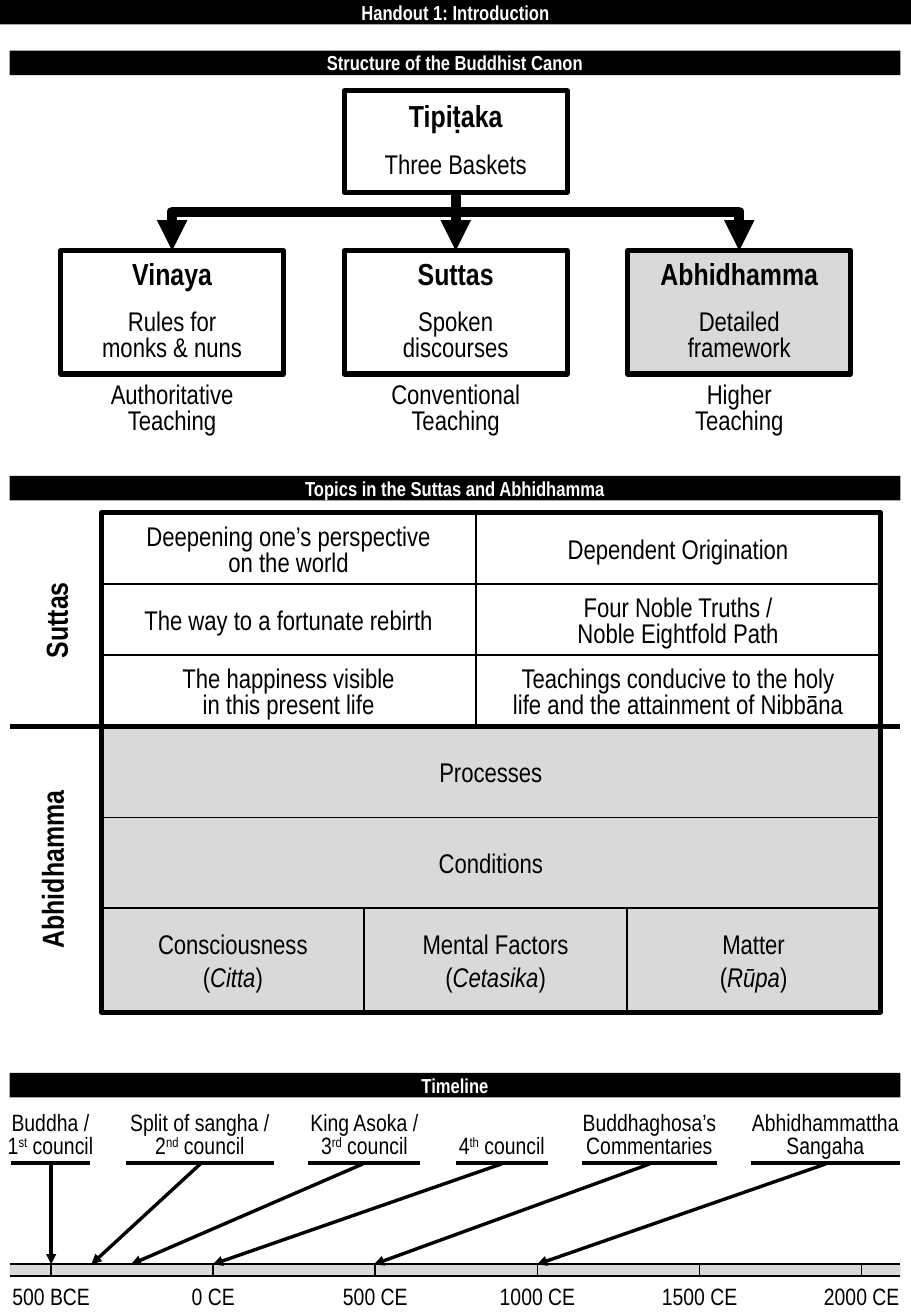
from lxml import etree
from pptx import Presentation
from pptx.dml.color import RGBColor
from pptx.enum.shapes import MSO_CONNECTOR, MSO_SHAPE
from pptx.enum.text import MSO_ANCHOR, MSO_AUTO_SIZE, PP_ALIGN
from pptx.oxml.ns import qn
from pptx.util import Cm, Pt

BLACK = RGBColor(0x00, 0x00, 0x00)
WHITE = RGBColor(0xFF, 0xFF, 0xFF)
GREY = RGBColor(0xD9, 0xD9, 0xD9)
RECTANGLE = MSO_SHAPE.RECTANGLE
STRAIGHT, ELBOW = MSO_CONNECTOR.STRAIGHT, MSO_CONNECTOR.ELBOW
MIDDLE, BOTTOM = MSO_ANCHOR.MIDDLE, MSO_ANCHOR.BOTTOM
CENTER = PP_ALIGN.CENTER
NO_AUTOFIT = MSO_AUTO_SIZE.NONE
FONT = "Arial Narrow"
TITLE_ONLY = 5


def write(para, text, size=16, bold=False, color=BLACK, spacing=1.0, before=0, raised=False):
    """Fill a paragraph; text between asterisks is raised or italic."""
    para.alignment = CENTER
    para.line_spacing = spacing
    para.space_before = Pt(before)
    for index, part in enumerate(text.split("*")):
        for number, line in enumerate(part.split("\n")):
            if number:
                para.add_line_break()
            if not line:
                continue
            span = para.add_run()
            span.text = line
            font = span.font
            font.name, font.size, font.bold = FONT, Pt(size), bold
            font.color.rgb = color
            if index % 2 and raised:
                font._element.set("baseline", "30000")
            elif index % 2:
                font.italic = True


class Handout:
    def __init__(self, slide):
        self.slide = slide

    def frame(self, shape, anchor=MIDDLE, top=0.13, bottom=0.13):
        frame = shape.text_frame
        frame.word_wrap = True
        frame.auto_size = NO_AUTOFIT
        frame.vertical_anchor = anchor
        frame.margin_left = frame.margin_right = 0
        frame.margin_top, frame.margin_bottom = Cm(top), Cm(bottom)
        return frame

    def box(self, left, top, width, height, fill=None, line=0):
        box = self.slide.shapes.add_shape(RECTANGLE, Cm(left), Cm(top), Cm(width), Cm(height))
        box.shadow.inherit = False
        if fill is None:
            box.fill.background()
        else:
            box.fill.solid()
            box.fill.fore_color.rgb = fill
        if line:
            box.line.color.rgb = BLACK
            box.line.width = Pt(line)
        else:
            box.line.fill.background()
        return box

    def text(self, text, left, top, width, height, anchor=MIDDLE, rotation=0, **style):
        box = self.slide.shapes.add_textbox(Cm(left), Cm(top), Cm(width), Cm(height))
        box.rotation = rotation
        write(self.frame(box, anchor).paragraphs[0], text, **style)

    def title(self, text, left, top, width, height):
        title = self.slide.shapes.title
        title.left, title.top, title.width, title.height = Cm(left), Cm(top), Cm(width), Cm(height)
        title.fill.solid()
        title.fill.fore_color.rgb = BLACK
        self.bar_text(title, text)

    def bar(self, text, top):
        self.bar_text(self.box(0.2, top, 18.63, 0.51, BLACK), text)

    def bar_text(self, shape, text):
        frame = self.frame(shape, top=0, bottom=0)
        write(frame.paragraphs[0], text, size=12, bold=True, color=WHITE)

    def basket(self, name, detail, left, top, height, fill=None):
        frame = self.frame(self.box(left, top, BASKET_WIDTH, height, fill, line=3))
        write(frame.paragraphs[0], name, size=18, bold=True, spacing=0.8, before=12)
        write(frame.add_paragraph(), detail, spacing=0.8, before=12)

    def cell(self, text, left, top, width, height, fill=None, spacing=1.0):
        box = self.box(left, top, width, height, fill, line=1)
        frame = self.frame(box, bottom=0 if spacing < 1 else 0.13)
        write(frame.paragraphs[0], text, spacing=spacing)

    def line(self, x1, y1, x2, y2, width, arrow=False, kind=STRAIGHT):
        line = self.slide.shapes.add_connector(kind, Cm(x1), Cm(y1), Cm(x2), Cm(y2))
        line.line.color.rgb = BLACK
        line.line.width = Pt(width)
        if arrow:
            etree.SubElement(line.line._get_or_add_ln(), qn("a:tailEnd"), type="triangle")
        etree.SubElement(line.element.spPr, qn("a:effectLst"))
        return line

    def branch(self, x1, y1, x2, y2, width):
        """Elbow arrow that leaves downwards: a turned elbow about the same centre."""
        across, down = abs(x2 - x1), y2 - y1
        left, top = (x1 + x2 - down) / 2, (y1 + y2 - across) / 2
        line = self.line(left, top, left + down, top + across, width, True, ELBOW)
        turned = line.element.spPr.find(qn("a:xfrm"))
        turned.set("rot", str((270 if x2 > x1 else 90) * 60000))
        if x2 > x1:
            turned.set("flipH", "1")


deck = Presentation()
deck.slide_width, deck.slide_height = Cm(19.05), Cm(27.51)
page = Handout(deck.slides.add_slide(deck.slide_layouts[TITLE_ONLY]))

# Heading bars
page.title("Handout 1: Introduction", 0, 0, 19.05, 0.51)
page.bar("Structure of the Buddhist Canon", 1.06)
page.bar("Topics in the Suttas and Abhidhamma", 9.95)
page.bar("Timeline", 22.43)

# Structure of the canon
BASKET_WIDTH, BASKET_PITCH, BASKET_TOP = 4.66, 5.93, 5.24
MIDDLE_X = 9.53
BASKETS = [
    ("Vinaya", "Rules for\nmonks & nuns", "Authoritative\nTeaching", None),
    ("Suttas", "Spoken\ndiscourses", "Conventional\nTeaching", None),
    ("Abhidhamma", "Detailed\nframework", "Higher\nTeaching", GREY),
]
for index, (name, detail, caption, fill) in enumerate(BASKETS):
    center = MIDDLE_X + (index - 1) * BASKET_PITCH
    left = center - BASKET_WIDTH / 2
    page.basket(name, detail, left, BASKET_TOP, 2.58, fill)
    page.text(caption, left, 7.82, BASKET_WIDTH, 1.48, spacing=0.8, before=12)
    if center == MIDDLE_X:
        page.line(MIDDLE_X, 4.02, center, BASKET_TOP, 6, arrow=True)
    else:
        page.branch(MIDDLE_X, 3.61, center, BASKET_TOP, 6)
page.basket("Tipiṭaka", "Three Baskets", MIDDLE_X - BASKET_WIDTH / 2, 1.9, 2.12, WHITE)

# Topics in the Suttas
GRID_LEFT, GRID_SPLIT, GRID_RIGHT = 2.12, 9.95, 18.41
GRID_WIDTH = GRID_RIGHT - GRID_LEFT
SUTTAS_TOP, SUTTAS_ROW, ABHIDHAMMA_TOP, ABHIDHAMMA_ROW = 10.72, 1.49, 15.19, 1.9
SUTTA_TOPICS = [
    ("Deepening one’s perspective\non the world", "Dependent Origination"),
    ("The way to a fortunate rebirth", "Four Noble Truths /\nNoble Eightfold Path"),
    ("The happiness visible\nin this present life",
     "Teachings conducive to the holy\nlife and the attainment of Nibbāna"),
]
SUTTA_COLUMNS = [(GRID_LEFT, GRID_SPLIT), (GRID_SPLIT, GRID_RIGHT)]
for row, topics in enumerate(SUTTA_TOPICS):
    for topic, (left, right) in zip(topics, SUTTA_COLUMNS):
        page.cell(topic, left, SUTTAS_TOP + row * SUTTAS_ROW, right - left, SUTTAS_ROW,
                  spacing=0.8 if "\n" in topic else 1.0)

# Topics in the Abhidhamma
for row, topic in enumerate(["Processes", "Conditions"]):
    page.cell(topic, GRID_LEFT, ABHIDHAMMA_TOP + row * ABHIDHAMMA_ROW,
              GRID_WIDTH, ABHIDHAMMA_ROW, GREY)
REALITIES_TOP, REALITIES_HEIGHT = ABHIDHAMMA_TOP + 2 * ABHIDHAMMA_ROW, 2.17
REALITIES = [
    ("Consciousness\n(*Citta*)", GRID_LEFT, 7.62),
    ("Mental Factors\n(*Cetasika*)", 7.62, 13.11),
    ("Matter\n(*Rūpa*)", 13.11, GRID_RIGHT),
]
for topic, left, right in REALITIES:
    page.cell(topic, left, REALITIES_TOP, right - left, REALITIES_HEIGHT, GREY)

# Outlines, divider and side labels
page.box(GRID_LEFT, SUTTAS_TOP, GRID_WIDTH, ABHIDHAMMA_TOP - SUTTAS_TOP, line=3)
page.box(GRID_LEFT, ABHIDHAMMA_TOP, GRID_WIDTH,
         REALITIES_TOP + REALITIES_HEIGHT - ABHIDHAMMA_TOP, line=3)
page.line(0.2, ABHIDHAMMA_TOP, 18.83, ABHIDHAMMA_TOP, 3)
page.text("Suttas", -1.07, 12.01, 4.47, 1.91, rotation=270, size=18, bold=True)
page.text("Abhidhamma", -1.83, 17.22, 5.97, 1.91, rotation=270, size=18, bold=True, spacing=0.8)

# Timeline axis
AXIS_TOP, AXIS_HEIGHT, AXIS_START, AXIS_STEP = 26.43, 0.24, 1.07, 3.39
YEARS = ["500 BCE", "0 CE", "500 CE", "1000 CE", "1500 CE", "2000 CE"]
page.box(0.2, AXIS_TOP, 18.63, AXIS_HEIGHT, GREY)
for index, year in enumerate(YEARS):
    tick = AXIS_START + index * AXIS_STEP
    if index < len(YEARS) - 1:
        page.box(tick, AXIS_TOP, AXIS_STEP, AXIS_HEIGHT, GREY, line=1)
    page.text(year, tick - 1, 26.67, 2, 0.84, size=14)
for y in (AXIS_TOP, AXIS_TOP + AXIS_HEIGHT):
    page.line(0.2, y, 18.83, y, 1)

# Timeline events: label, underline from and to, arrow from and to
EVENTS = [
    ("Buddha /\n1*st* council", 0.23, 1.88, 1.07, 1.07),
    ("Split of sangha /\n2*nd* council", 2.64, 5.72, 4.19, 1.91),
    ("King Asoka /\n3*rd* council", 6.45, 8.79, 7.59, 2.74),
    ("4*th* council", 9.53, 11.46, 10.49, 4.45),
    ("Buddhaghosa’s\nCommentaries", 12.17, 14.99, 13.59, 7.82),
    ("Abhidhammattha\nSangaha", 15.7, 18.82, 17.27, 11.23),
]
for label, left, right, start, end in EVENTS:
    page.text(label, left - 0.2, 23.14, right - left + 0.4, 1.22, anchor=BOTTOM,
              size=14, spacing=0.8, raised=True)
    page.line(left, 24.31, right, 24.31, 2)
    page.line(start, 24.33, end, AXIS_TOP, 2, arrow=True)

deck.save("out.pptx")
